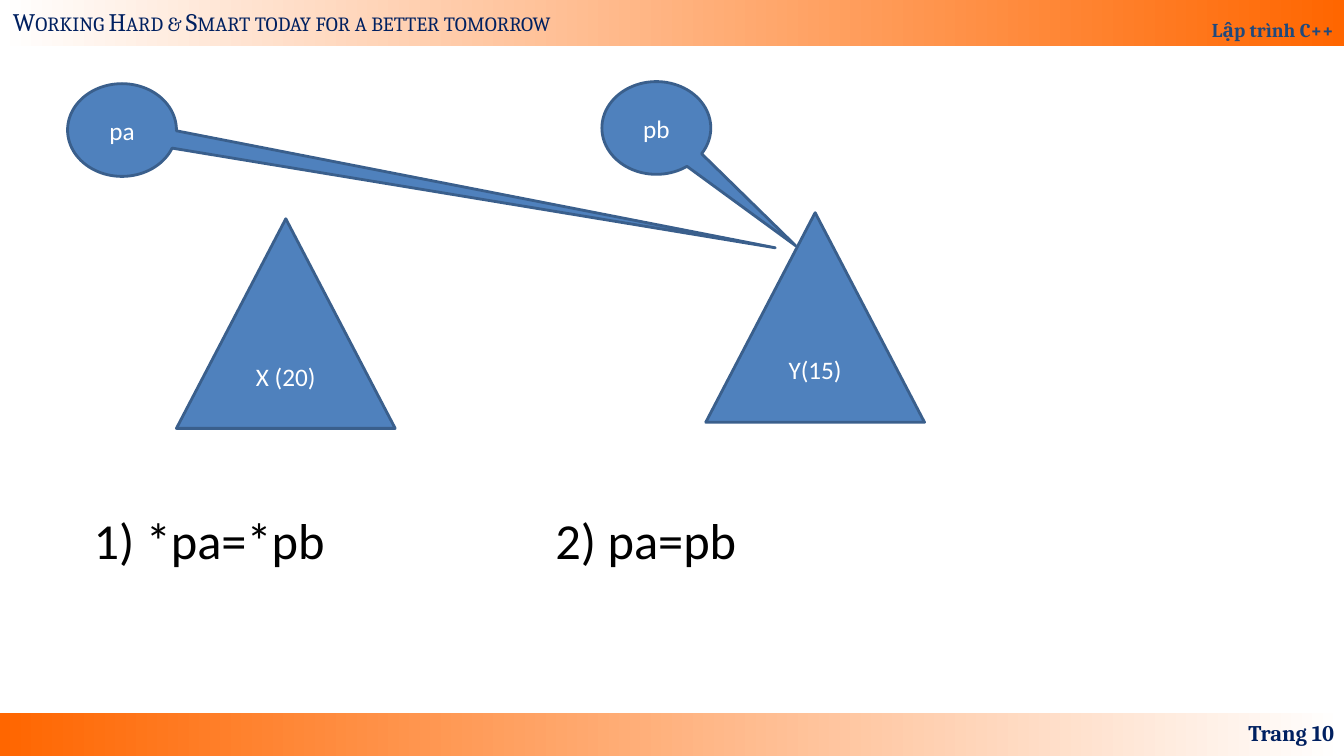
import pptx
import pptx.util
import pptx.dml.color
import pptx.enum.shapes
import pptx.enum.text

Inches = pptx.util.Inches
SHAPES = pptx.enum.shapes.MSO_SHAPE
ANCHOR = pptx.enum.text.MSO_ANCHOR
ALIGN = pptx.enum.text.PP_ALIGN

WHITE, ORANGE, NAVY = "FFFFFF", "FF6600", "002060"
BLUE, OUTLINE = "4F81BD", "3A5F8C"


def colour(value):
    """Turn a hex string into a colour."""
    return pptx.dml.color.RGBColor.from_string(value)


def write(shape, text, size, font, ink, align=ALIGN.LEFT, anchor=ANCHOR.TOP,
          bold=False, wrap=True):
    """Write one line of text into a shape and return its run."""
    frame = shape.text_frame
    frame.word_wrap = wrap
    frame.vertical_anchor = anchor
    para = frame.paragraphs[0]
    para.alignment = align
    span = para.add_run()
    span.text = text
    span.font.size = pptx.util.Pt(size)
    span.font.name = font
    span.font.bold = bold
    span.font.color.rgb = colour(ink)
    return span


def add_box(page, left, top, width, height, *text, **style):
    """Add a text box and return its run."""
    box = page.shapes.add_textbox(Inches(left), Inches(top), Inches(width), Inches(height))
    return write(box, *text, **style)


def add_bar(page, top, height, start, end):
    """Add a full-width bar with a left-to-right gradient."""
    bar = page.shapes.add_shape(SHAPES.RECTANGLE, 0, Inches(top), Inches(13.33), Inches(height))
    bar.shadow.inherit = False
    bar.line.fill.background()
    bar.fill.gradient()
    bar.fill.gradient_angle = 0
    for stop, value in zip(bar.fill.gradient_stops, (start, end)):
        stop.color.rgb = colour(value)
    return bar


def add_figure(page, kind, left, top, width, height, label, pointer=()):
    """Add a labelled blue shape, with its callout pointer if it has one."""
    figure = page.shapes.add_shape(kind, Inches(left), Inches(top), Inches(width), Inches(height))
    figure.shadow.inherit = False
    figure.fill.solid()
    figure.fill.fore_color.rgb = colour(BLUE)
    figure.line.color.rgb = colour(OUTLINE)
    figure.line.width = pptx.util.Pt(2)
    for index, value in enumerate(pointer):
        figure.adjustments[index] = value
    write(figure, label, 18, "Calibri", WHITE, align=ALIGN.CENTER, anchor=ANCHOR.MIDDLE)


def main():
    """Build the slide on pointer assignment."""
    deck = pptx.Presentation()
    deck.slide_width, deck.slide_height = Inches(13.33), Inches(7.5)
    page = deck.slides.add_slide(deck.slide_layouts[6])

    add_bar(page, 7.07, 0.43, ORANGE, WHITE)
    header = add_bar(page, 0, 0.46, WHITE, ORANGE)
    write(header, "Lập trình C++", 14, "Cambria", "1F497D",
          align=ALIGN.RIGHT, anchor=ANCHOR.BOTTOM, bold=True)
    header.text_frame.paragraphs[0].line_spacing = 1.8
    motto = add_box(page, 0.03, 0.01, 5.9, 0.4,
                    "Working Hard & Smart today for a better tomorrow",
                    18, "Cambria", NAVY, wrap=False)
    motto.font._element.set("cap", "small")
    add_box(page, 10.22, 7.07, 3.11, 0.4, "Trang 10", 16, "Cambria", NAVY,
            align=ALIGN.RIGHT, anchor=ANCHOR.MIDDLE, bold=True)

    for left, top, label in ((1.75, 2.17, "X (20)"), (7, 2.11, "Y(15)")):
        add_figure(page, SHAPES.ISOSCELES_TRIANGLE, left, top, 2.17, 2.08, label)
    for left, top, label, reach in ((0.67, 0.83, "pa", 6), (5.97, 0.81, "pb", 1.28)):
        add_figure(page, SHAPES.OVAL_CALLOUT, left, top, 1.08, 0.92, label, (reach, 1.27))
    for left, width, statement in ((0.83, 2.51, "1) *pa=*pb"), (5.41, 2.01, "2) pa=pb")):
        add_box(page, left, 5, width, 0.71, statement, 36, "Calibri", "000000", wrap=False)

    deck.save("out.pptx")


if __name__ == "__main__":
    main()
